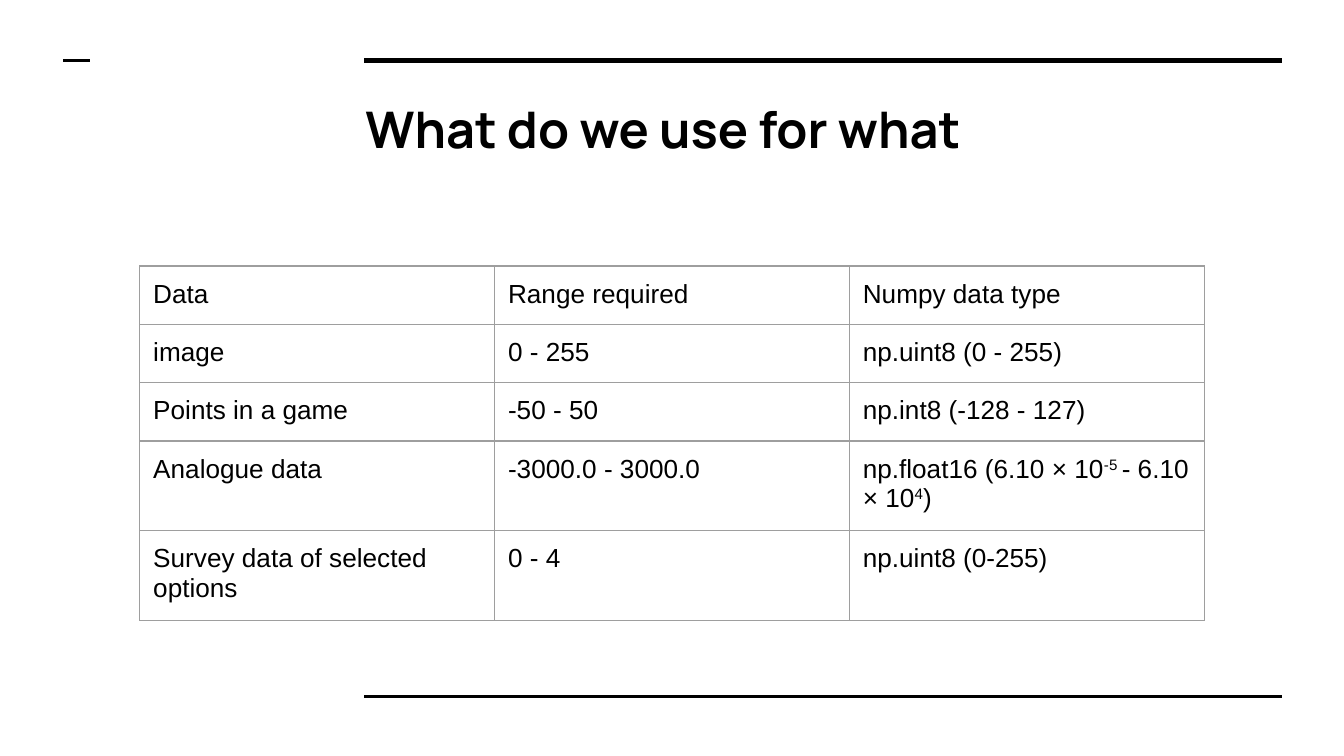
from lxml import etree
from pptx import Presentation
from pptx.dml.color import RGBColor
from pptx.enum.shapes import MSO_CONNECTOR
from pptx.enum.text import MSO_ANCHOR
from pptx.oxml.ns import qn
from pptx.util import Inches, Pt

LINE = MSO_CONNECTOR.STRAIGHT
MIDDLE = MSO_ANCHOR.MIDDLE
BLACK = RGBColor(0x00, 0x00, 0x00)
GRAY = RGBColor(0x9E, 0x9E, 0x9E)
PAD = Inches(0.1)

# Text between carets is raised.
ROWS = [
    ("Data", "Range required", "Numpy data type"),
    ("image", "0 - 255", "np.uint8 (0 - 255)"),
    ("Points in a game", "-50 - 50", "np.int8 (-128 - 127)"),
    ("Analogue data", "-3000.0 - 3000.0",
     "np.float16 (6.10 × 10^-5 ^- 6.10 × 10^4^)"),
    ("Survey data of selected options", "0 - 4", "np.uint8 (0-255)"),
]


def set_font(font, name, size, bold=False):
    font.name = name
    font.size = Pt(size)
    font.bold = bold
    font.color.rgb = BLACK


def set_pad(box):
    box.margin_left = box.margin_right = PAD
    box.margin_top = box.margin_bottom = PAD


def add_rule(slide, left, top, width, weight):
    rule = slide.shapes.add_connector(
        LINE, Inches(left), Inches(top), Inches(left + width), Inches(top))
    rule.line.color.rgb = BLACK
    rule.line.width = Pt(weight)
    etree.SubElement(rule._element.spPr, qn("a:effectLst"))


def add_title(slide, left, top, width, height, text):
    box = slide.shapes.add_textbox(
        Inches(left), Inches(top), Inches(width), Inches(height))
    frame = box.text_frame
    frame.word_wrap = True
    frame.vertical_anchor = MIDDLE
    set_pad(frame)
    frame.text = text
    set_font(frame.paragraphs[0].runs[0].font, "Manrope", 27, True)


def add_borders(cell):
    props = cell._tc.get_or_add_tcPr()
    for index, side in enumerate(("lnL", "lnR", "lnT", "lnB")):
        edge = etree.Element(qn("a:" + side), w=str(Pt(0.75)))
        fill = etree.SubElement(edge, qn("a:solidFill"))
        etree.SubElement(fill, qn("a:srgbClr"), val=str(GRAY))
        props.insert(index, edge)


def fill_cell(cell, text):
    set_pad(cell)
    cell.fill.background()
    add_borders(cell)
    para = cell.text_frame.paragraphs[0]
    for index, part in enumerate(text.split("^")):
        run = para.add_run()
        run.text = part
        set_font(run.font, "Arial", 14)
        if index % 2:
            run.font._element.set("baseline", "30000")


def add_grid(slide, left, top, size, col, line, rows):
    """Place a square frame; the rows and columns keep their own sizes."""
    frame = slide.shapes.add_table(
        len(rows), len(rows[0]), Inches(left), Inches(top),
        Inches(size), Inches(size))
    table = frame.table
    table.first_row = table.horz_banding = False
    for column in table.columns:
        column.width = Inches(col)
    for r, row in enumerate(rows):
        table.rows[r].height = Inches(line)
        for c, text in enumerate(row):
            fill_cell(table.cell(r, c), text)
    frame.width = frame.height = Inches(size)


def build_slide(slide):
    add_rule(slide, 2.71, 0.45, 6.83, 3)
    add_rule(slide, 2.71, 5.18, 6.83, 1.5)
    add_rule(slide, 0.47, 0.45, 0.2, 1.5)
    add_title(slide, 2.62, 0.61, 6.91, 0.69, "What do we use for what")
    add_grid(slide, 1.04, 1.98, 3.28, 2.64, 0.42, ROWS)


def main():
    deck = Presentation()
    deck.slide_width = Inches(10)
    deck.slide_height = deck.slide_width * 9 // 16
    build_slide(deck.slides.add_slide(deck.slide_layouts[6]))
    deck.save("out.pptx")


if __name__ == "__main__":
    main()
